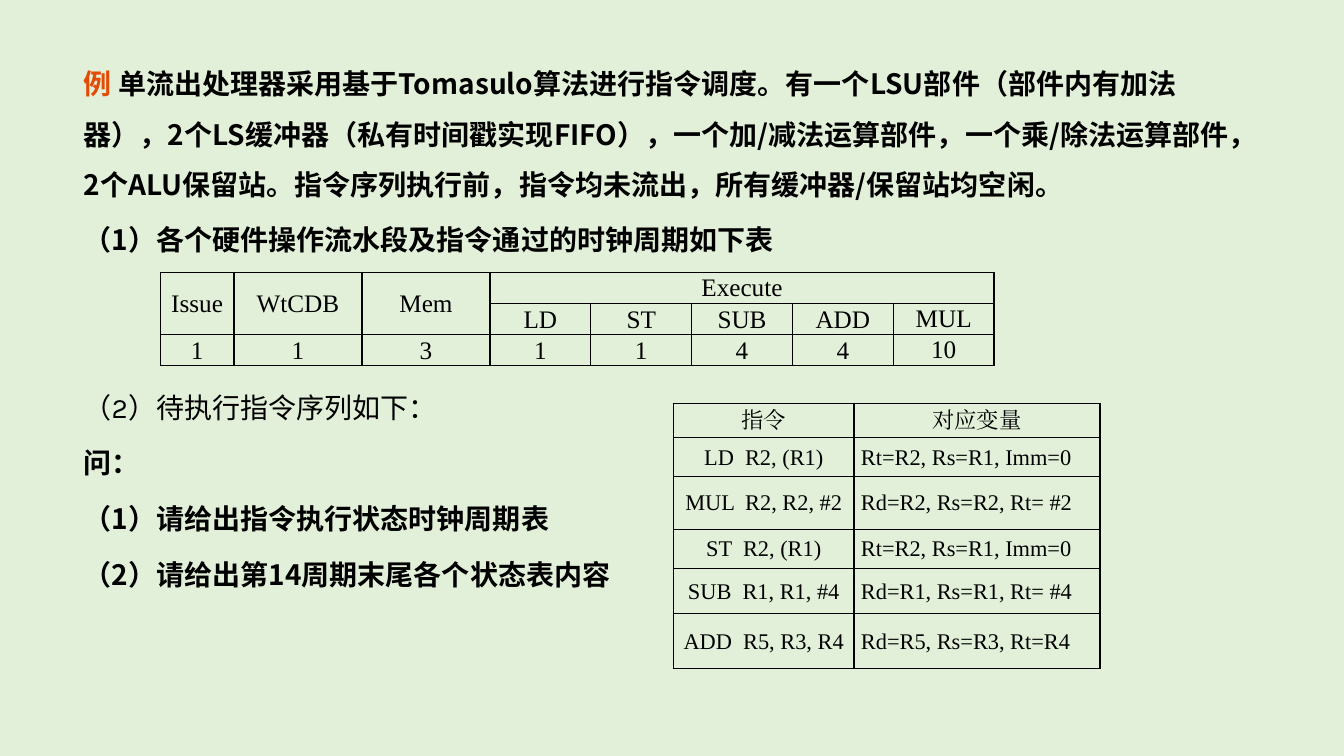
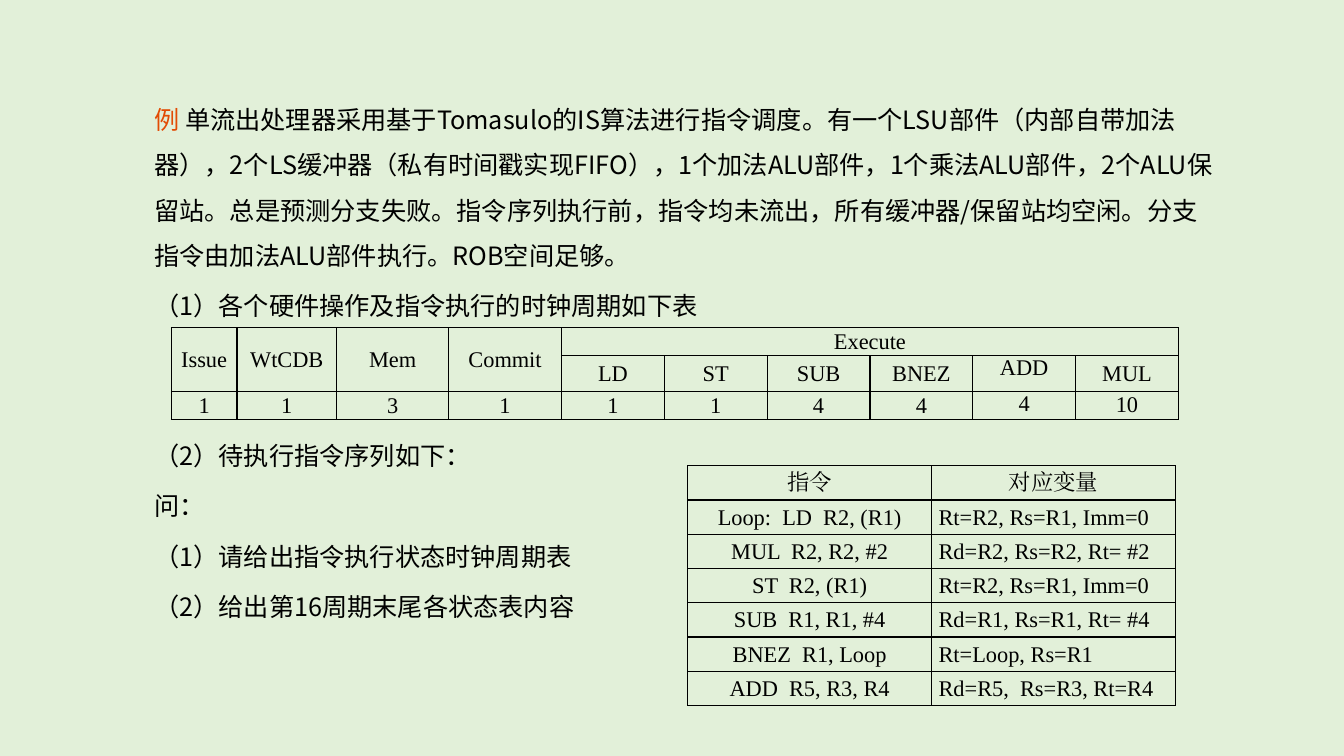
from typing import NamedTuple

from lxml.etree import SubElement
from pptx import Presentation
from pptx.dml.color import RGBColor
from pptx.enum.text import MSO_ANCHOR, MSO_AUTO_SIZE, PP_ALIGN
from pptx.oxml.ns import qn
from pptx.util import Inches, Pt

# Shared look; lengths count cells of a 1333 x 750 grid
CELL = Inches(0.01)
WIDE, HIGH = 1333, 750
PAPER, INK, MARK = "E2F0D9", "000000", "E24C05"
SANS, SERIF, SOFT = "Noto Sans CJK SC", "Times New Roman", "Karla"
PITCH = 1.79  # line height as a share of the text size
LEAD = 0.2  # space before a paragraph, same share


class Box(NamedTuple):
    left: int
    top: int
    width: int
    height: int


class Line(NamedTuple):
    text: str
    bold: bool = False
    face: str = SANS
    skip: int = 0  # lines left free above, for a table


class Timing(NamedTuple):
    """Clock cycles: single stages, then the Execute group."""
    at: tuple[int, int]
    size: int
    cols: list[int]
    rows: list[int]
    stages: list[str]
    units: list[str]
    cycles: list[str]
    flush: int  # last columns without insets
    raised: str = ""  # unit whose cells sit at the top


class Code(NamedTuple):
    """Instructions with their variables."""
    at: tuple[int, int]
    cols: list[int]
    rows: list[int]
    lines: list[tuple[str, str]]


class Page(NamedTuple):
    body: Box
    size: int
    lines: list[Line]
    timing: Timing
    code: Code


def tint(code: str) -> RGBColor:
    return RGBColor.from_string(code)


def style(run, size: int, face: str, bold: bool = False, color: str = INK) -> None:
    font = run.font
    font.size, font.bold, font.name = Pt(size), bold, face
    font.color.rgb = tint(color)
    SubElement(run._r.get_or_add_rPr(), qn("a:ea"), typeface=face)


def write(slide, box: Box, size: int, lines: list[Line]) -> None:
    """Fill the body placeholder; the first line opens with the mark."""
    body = slide.placeholders[1]
    body.left, body.top, body.width, body.height = (n * CELL for n in box)
    frame = body.text_frame
    frame.word_wrap, frame.auto_size = True, MSO_AUTO_SIZE.NONE
    frame.vertical_anchor = MSO_ANCHOR.TOP
    frame.text = "\n".join(line.text for line in lines)
    for i, (para, line) in enumerate(zip(frame.paragraphs, lines)):
        hang = Inches(0.5) if i else 0
        props = para._p.get_or_add_pPr()
        props.set("marL", str(hang))
        props.set("indent", str(-hang))
        para.line_spacing = Pt(size * PITCH)
        para.space_before = Pt(size * (LEAD + line.skip * (PITCH + LEAD)))
        SubElement(props, qn("a:buNone"))
        if i == 0:
            head, rest = line.text[:2], line.text[2:]
            para.runs[0].text = head
            para.add_run().text = rest
        for run in para.runs:
            style(run, size, line.face, line.bold)
    frame.paragraphs[0].runs[0].font.color.rgb = tint(MARK)


def grid(slide, at: tuple[int, int], cols: list[int], rows: list[int]):
    """Add a bare table with thin borders."""
    box = Box(*at, sum(cols), sum(rows))
    table = slide.shapes.add_table(len(rows), len(cols), *(n * CELL for n in box)).table
    table.first_row = table.horz_banding = False
    for col, width in zip(table.columns, cols):
        col.width = width * CELL
    for row, height in zip(table.rows, rows):
        row.height = height * CELL
    for cell in table.iter_cells():
        props = cell._tc.get_or_add_tcPr()
        for side in ("lnL", "lnR", "lnT", "lnB"):
            edge = SubElement(props, qn(f"a:{side}"), w=str(Pt(1)))
            fill = SubElement(edge, qn("a:solidFill"))
            SubElement(fill, qn("a:srgbClr"), val=INK)
        cell.fill.background()
    return table


def put(cell, text: str, size: int, inset: int, align=PP_ALIGN.CENTER,
        anchor=MSO_ANCHOR.MIDDLE) -> None:
    cell.margin_left = cell.margin_right = inset * CELL
    cell.margin_top, cell.margin_bottom = min(inset, 1) * CELL, 0
    cell.vertical_anchor = anchor
    para = cell.text_frame.paragraphs[0]
    para.text = text
    para.alignment = align
    style(para.runs[0], size, SERIF)


def draw_timing(slide, data: Timing) -> None:
    table = grid(slide, data.at, data.cols, data.rows)
    lead, last = len(data.stages), len(data.cols) - 1
    for i, name in enumerate(data.stages):
        table.cell(0, i).merge(table.cell(1, i))
        put(table.cell(0, i), name, data.size, 8)
    table.cell(0, lead).merge(table.cell(0, last))
    put(table.cell(0, lead), "Execute", data.size, 8)
    for i, count in enumerate(data.cycles):
        inset = 0 if i > last - data.flush else 8
        unit = data.units[i - lead] if i >= lead else ""
        high = unit and unit == data.raised
        anchor = MSO_ANCHOR.TOP if high else MSO_ANCHOR.MIDDLE
        if unit:
            put(table.cell(1, i), unit, data.size, inset, anchor=anchor)
        put(table.cell(2, i), count, data.size, inset, anchor=anchor)


def draw_code(slide, data: Code) -> None:
    table = grid(slide, data.at, data.cols, data.rows)
    for i, (left, right) in enumerate([("指令", "对应变量"), *data.lines]):
        put(table.cell(i, 0), left, 16, 7)
        put(table.cell(i, 1), right, 16, 7, PP_ALIGN.JUSTIFY if i else PP_ALIGN.CENTER)


# Instructions found on both pages
LOAD = ("LD  R2, (R1)", "Rt=R2, Rs=R1, Imm=0")
CORE = [
    ("MUL  R2, R2, #2", "Rd=R2, Rs=R2, Rt= #2"),
    ("ST  R2, (R1)", "Rt=R2, Rs=R1, Imm=0"),
    ("SUB  R1, R1, #4", "Rd=R1, Rs=R1, Rt= #4"),
]
ASK = "（1）请给出指令执行状态时钟周期表"
LIST = "（2）待执行指令序列如下："

PAGES = [
    Page(
        Box(73, 45, 1157, 581), 20,
        [
            Line("例 单流出处理器采用基于Tomasulo算法进行指令调度。有一个LSU部件（部件内有加法器），"
                 "2个LS缓冲器（私有时间戳实现FIFO），一个加/减法运算部件，一个乘/除法运算部件，"
                 "2个ALU保留站。指令序列执行前，指令均未流出，所有缓冲器/保留站均空闲。", True),
            Line("（1）各个硬件操作流水段及指令通过的时钟周期如下表", True),
            Line(LIST, face=SOFT, skip=2),
            Line("问：", True),
            Line(ASK, True),
            Line("（2）请给出第14周期末尾各个状态表内容", True),
        ],
        Timing((159, 270), 18, [73] + [127] * 2 + [100] * 5, [31] * 3,
               ["Issue", "WtCDB", "Mem"], ["LD", "ST", "SUB", "ADD", "MUL"],
               ["1", "1", "3", "1", "1", "4", "4", "10"], 1),
        Code((668, 400), [179, 244], [34, 39, 52, 39, 45, 54],
             [LOAD, *CORE, ("ADD  R5, R3, R4", "Rd=R5, Rs=R3, Rt=R4")]),
    ),
    Page(
        Box(143, 84, 1070, 598), 18,
        [
            Line("例 单流出处理器采用基于Tomasulo的IS算法进行指令调度。有一个LSU部件（内部自带加法器），"
                 "2个LS缓冲器（私有时间戳实现FIFO），1个加法ALU部件，1个乘法ALU部件，2个ALU保留站。"
                 "总是预测分支失败。指令序列执行前，指令均未流出，所有缓冲器/保留站均空闲。"
                 "分支指令由加法ALU部件执行。ROB空间足够。"),
            Line("（1）各个硬件操作及指令执行的时钟周期如下表"),
            Line(LIST, skip=2),
            Line("问："),
            Line(ASK),
            Line("（2）给出第16周期末尾各状态表内容"),
        ],
        Timing((170, 325), 16, [65, 99, 111, 112] + [102] * 6, [28, 35, 28],
               ["Issue", "WtCDB", "Mem", "Commit"],
               ["LD", "ST", "SUB", "BNEZ", "ADD", "MUL"],
               ["1", "1", "3", "1", "1", "1", "4", "4", "4", "10"], 2, "ADD"),
        Code((682, 462), [242] * 2, [34] * 7,
             [("Loop:  " + LOAD[0], LOAD[1]), *CORE, ("BNEZ  R1, Loop", "Rt=Loop, Rs=R1"),
              ("ADD  R5, R3, R4", "Rd=R5,  Rs=R3, Rt=R4")]),
    ),
]


def main() -> None:
    deck = Presentation()
    deck.slide_width, deck.slide_height = WIDE * CELL, HIGH * CELL
    paper = deck.slide_master.background.fill
    paper.solid()
    paper.fore_color.rgb = tint(PAPER)
    for page in PAGES:
        slide = deck.slides.add_slide(deck.slide_layouts[1])
        title = slide.shapes.title._element
        title.getparent().remove(title)
        write(slide, page.body, page.size, page.lines)
        draw_timing(slide, page.timing)
        draw_code(slide, page.code)
    deck.save("out.pptx")


if __name__ == "__main__":
    main()
